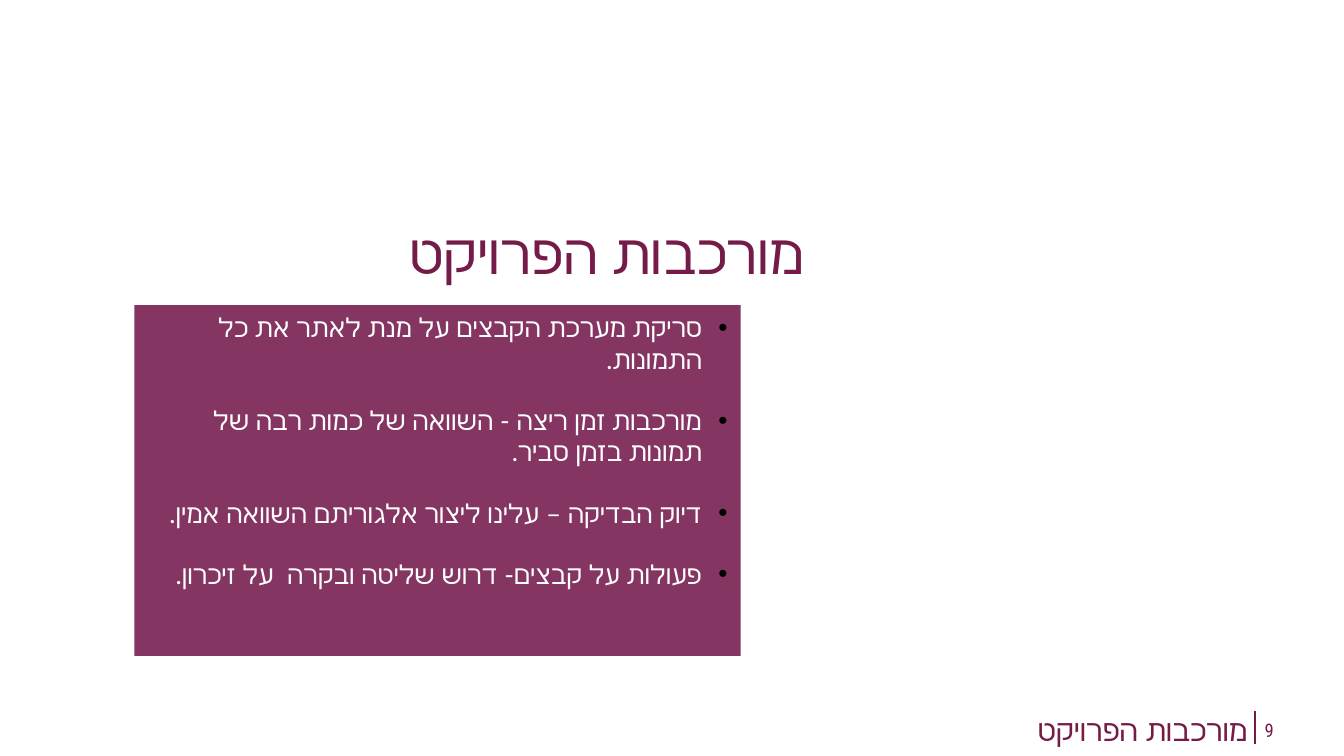
from lxml import etree
from pptx import Presentation
from pptx.dml.color import RGBColor
from pptx.enum import shapes, text
from pptx.oxml import ns
from pptx.util import Cm, Pt

PLUM = RGBColor(0x74, 0x1B, 0x47)
PANEL = RGBColor(0x84, 0x35, 0x62)
WHITE = RGBColor(0xFF, 0xFF, 0xFF)
BLACK = RGBColor(0, 0, 0)

HEBREW_FONT = "Lato"
HEADING = "מורכבות הפרויקט"
CHALLENGES = [
    "סריקת מערכת הקבצים על מנת לאתר את כל התמונות.",
    "מורכבות זמן ריצה - השוואה של כמות רבה של תמונות בזמן סביר.",
    "דיוק הבדיקה – עלינו ליצור אלגוריתם השוואה אמין.",
    "פעולות על קבצים- דרוש שליטה ובקרה  על זיכרון.",
]


def apply_format(target, values):
    for name, value in values.items():
        setattr(target, name, value)


def add_child(parent, tag, **attributes):
    return etree.SubElement(parent, ns.qn(tag), **attributes)


def write(paragraph, wording, font, size, color, align):
    paragraph.alignment = align
    run = paragraph.add_run()
    run.text = wording
    apply_format(run.font, {"name": font, "size": Pt(size)})
    run.font.color.rgb = color
    add_child(run.font._element, "a:cs", typeface=HEBREW_FONT)


def add_label(slide, box, wording, font, size, align, anchor):
    frame = slide.shapes.add_textbox(*map(Cm, box)).text_frame
    inset = Cm(0.25)
    apply_format(frame, {
        "word_wrap": True, "vertical_anchor": anchor,
        "margin_left": inset, "margin_right": inset,
        "margin_top": inset, "margin_bottom": inset,
    })
    write(frame.paragraphs[0], wording, font, size, PLUM, align)


def add_bullet(paragraph):
    paragraph.space_after = Pt(16)
    properties = paragraph._p.get_or_add_pPr()
    indent = Cm(0.48)
    for name, value in {"marL": indent, "indent": -indent, "rtl": 1}.items():
        properties.set(name, str(value))
    add_child(add_child(properties, "a:buClr"), "a:srgbClr", val=str(BLACK))
    add_child(properties, "a:buFont", typeface="Arial")
    add_child(properties, "a:buChar", char="•")


def add_challenges(slide, box):
    panel = slide.shapes.add_shape(shapes.MSO_SHAPE.RECTANGLE, *map(Cm, box))
    panel.shadow.inherit = False
    panel.fill.solid()
    panel.fill.fore_color.rgb = PANEL
    panel.line.fill.background()
    frame = panel.text_frame
    apply_format(frame, {"word_wrap": True, "vertical_anchor": text.MSO_ANCHOR.TOP})
    for index, challenge in enumerate(CHALLENGES):
        paragraph = frame.add_paragraph() if index else frame.paragraphs[0]
        write(paragraph, challenge, "DejaVu Sans Mono", 14, WHITE, text.PP_ALIGN.RIGHT)
        add_bullet(paragraph)


def add_divider(slide, x, top, bottom):
    divider = slide.shapes.add_connector(
        shapes.MSO_CONNECTOR.STRAIGHT, Cm(x), Cm(top), Cm(x), Cm(bottom))
    divider.line.color.rgb = PLUM
    divider.line.width = Pt(0.75)
    add_child(divider._element.spPr, "a:effectLst")


def main():
    deck = Presentation()
    apply_format(deck, {"slide_width": Cm(25.4), "slide_height": Cm(14.29)})
    slide = deck.slides.add_slide(deck.slide_layouts[6])
    align, anchor = text.PP_ALIGN, text.MSO_ANCHOR

    add_divider(slide, 23.72, 13.44, 14.07)
    add_label(slide, (23.65, 13.26, 0.99, 1.09), "9", "Roboto Condensed", 10,
              align.LEFT, anchor.MIDDLE)
    add_label(slide, (5.16, 13.44, 18.67, 0.71), HEADING, "Lato", 16,
              align.RIGHT, anchor.MIDDLE)
    add_label(slide, (4.39, 4.01, 14.17, 1.65), HEADING, "Lato", 30,
              align.CENTER, anchor.BOTTOM)
    add_challenges(slide, (2.54, 5.77, 11.46, 6.63))

    deck.save("out.pptx")


if __name__ == "__main__":
    main()
